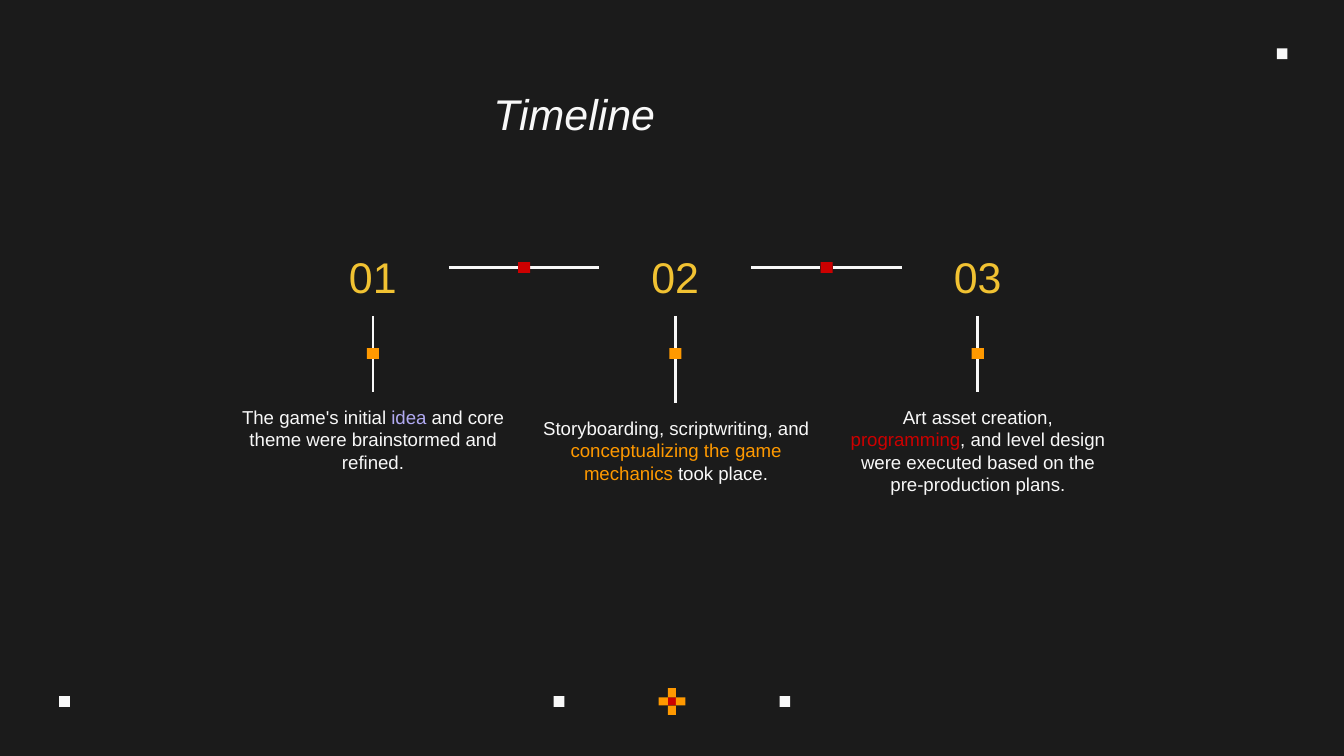
from dataclasses import dataclass

from lxml.etree import SubElement
from pptx import Presentation
from pptx.dml.color import RGBColor
from pptx.enum.shapes import MSO_CONNECTOR as Conn, MSO_SHAPE as Shape
from pptx.enum.text import MSO_ANCHOR as Anchor, MSO_AUTO_SIZE as Auto, PP_ALIGN as Align
from pptx.oxml.ns import qn
from pptx.util import Inches, Pt

DARK, WHITE, GOLD = "1B1B1B", "F8F8F8", "F1C232"
ORANGE, RED, LILAC = "FF9900", "CC0000", "B1AAF2"
FONT = "Arial"
DOT_W, DOT_H = 0.09, 0.08
NUM_LEFT, NUM_TOP, NUM_W, NUM_H = 2.21, 1.63, 1.13, 0.72
STEP = 2.25
LINK_Y, DOT_Y = 1.99, 2.63


@dataclass
class Run:
    text: str
    color: str = WHITE


@dataclass
class Phase:
    num: str
    left: float
    top: float
    width: float
    height: float
    runs: list[Run]


PHASES = [
    Phase("01", 1.7, 2.92, 2.15, 1.07, [
        Run("The game's initial "), Run("idea ", LILAC),
        Run("and core theme were brainstormed and refined.")]),
    Phase("02", 3.85, 3, 2.36, 1.7, [
        Run("Storyboarding, scriptwriting, and "),
        Run("conceptualizing the game mechanics ", ORANGE),
        Run("took place.")]),
    Phase("03", 6.2, 2.92, 2.15, 1.77, [
        Run("Art asset creation, "), Run("programming", RED),
        Run(", and level design were executed based on the pre-production plans.")]),
]


def rgb(color: str) -> RGBColor:
    return RGBColor.from_string(color)


def add_box(slide, x: float, y: float, w: float, h: float, color: str) -> None:
    box = slide.shapes.add_shape(Shape.RECTANGLE, Inches(x), Inches(y), Inches(w), Inches(h))
    box.shadow.inherit = False
    box.fill.solid()
    box.fill.fore_color.rgb = rgb(color)
    box.line.fill.background()


def add_line(slide, x1: float, y1: float, x2: float, y2: float) -> None:
    line = slide.shapes.add_connector(
        Conn.STRAIGHT, Inches(x1), Inches(y1), Inches(x2), Inches(y2))
    line.line.color.rgb = rgb(WHITE)
    line.line.width = Pt(1.5)
    SubElement(line._element.spPr, qn("a:effectLst"))


def fill_text(frame, runs: list[Run], size: float, align: Align,
              anchor: Anchor = Anchor.TOP, italic: bool = False) -> None:
    frame.word_wrap = True
    frame.auto_size = Auto.NONE
    frame.vertical_anchor = anchor
    frame.margin_left = frame.margin_right = Inches(0.1)
    frame.margin_top = frame.margin_bottom = Inches(0.1)
    para = frame.paragraphs[0]
    para.alignment = align
    for item in runs:
        run = para.add_run()
        run.text = item.text
        run.font.name = FONT
        run.font.size = Pt(size)
        run.font.italic = italic
        run.font.color.rgb = rgb(item.color)


def add_text(slide, x: float, y: float, w: float, h: float, runs: list[Run],
             size: float, anchor: Anchor = Anchor.TOP) -> None:
    box = slide.shapes.add_textbox(Inches(x), Inches(y), Inches(w), Inches(h))
    fill_text(box.text_frame, runs, size, Align.CENTER, anchor)


def add_title(slide, text: str) -> None:
    title = slide.shapes.title
    title.left, title.top = Inches(1.57), Inches(0.55)
    title.width, title.height = Inches(7.71), Inches(0.84)
    fill_text(title.text_frame, [Run(text)], 23, Align.LEFT, italic=True)
    props = title.text_frame.paragraphs[0]._p.get_or_add_pPr()
    props.set("marL", str(Inches(1.5)))
    props.set("indent", str(Inches(0.5)))


def add_decor(slide) -> None:
    # Small corner and footer squares
    for x, y in [(4.12, 5.18), (5.8, 5.18), (0.44, 5.18), (9.5, 0.36)]:
        add_box(slide, x, y, 0.08, 0.08, WHITE)
    # Pixel flower: red core with four petals
    add_box(slide, 4.97, 5.19, 0.06, 0.06, RED)
    for x, y, w, h in [(4.97, 5.12, 0.06, 0.07), (4.97, 5.25, 0.06, 0.07),
                       (4.9, 5.19, 0.07, 0.06), (5.03, 5.19, 0.07, 0.06)]:
        add_box(slide, x, y, w, h, ORANGE)


def add_phase(slide, phase: Phase, mid: float) -> None:
    add_text(slide, phase.left, phase.top, phase.width, phase.height, phase.runs, 10)
    add_text(slide, mid - NUM_W / 2, NUM_TOP, NUM_W, NUM_H,
             [Run(phase.num, GOLD)], 23, Anchor.BOTTOM)
    # Stem from number to text
    add_line(slide, mid, NUM_TOP + NUM_H, mid, DOT_Y - DOT_H / 2)
    add_line(slide, mid, DOT_Y + DOT_H / 2, mid, phase.top)
    add_box(slide, mid - DOT_W / 2, DOT_Y - DOT_H / 2, DOT_W, DOT_H, ORANGE)


def add_link(slide, start: float, end: float) -> None:
    mid = (start + end) / 2
    add_line(slide, start, LINK_Y, mid - DOT_W / 2, LINK_Y)
    add_line(slide, mid + DOT_W / 2, LINK_Y, end, LINK_Y)
    add_box(slide, mid - DOT_W / 2, LINK_Y - DOT_H / 2, DOT_W, DOT_H, RED)


def main() -> None:
    deck = Presentation()
    # Widescreen page, 16:9
    deck.slide_width = Inches(10)
    deck.slide_height = Inches(10) * 9 // 16
    slide = deck.slides.add_slide(deck.slide_layouts[5])
    slide.background.fill.solid()
    slide.background.fill.fore_color.rgb = rgb(DARK)

    add_decor(slide)
    add_title(slide, "Timeline")

    # Phases, with links between neighbours
    for i, phase in enumerate(PHASES):
        mid = NUM_LEFT + NUM_W / 2 + i * STEP
        add_phase(slide, phase, mid)
        if i:
            add_link(slide, mid - STEP + NUM_W / 2, mid - NUM_W / 2)

    deck.save("out.pptx")


if __name__ == "__main__":
    main()
